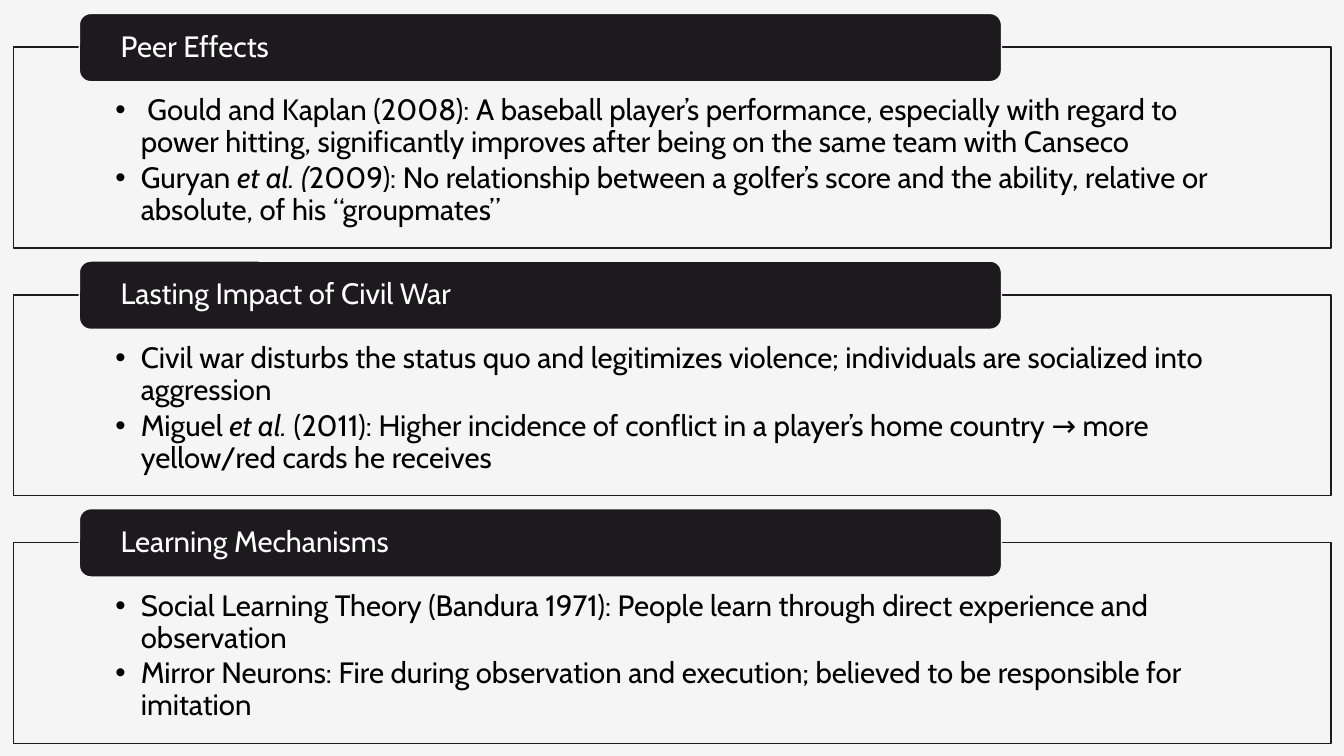
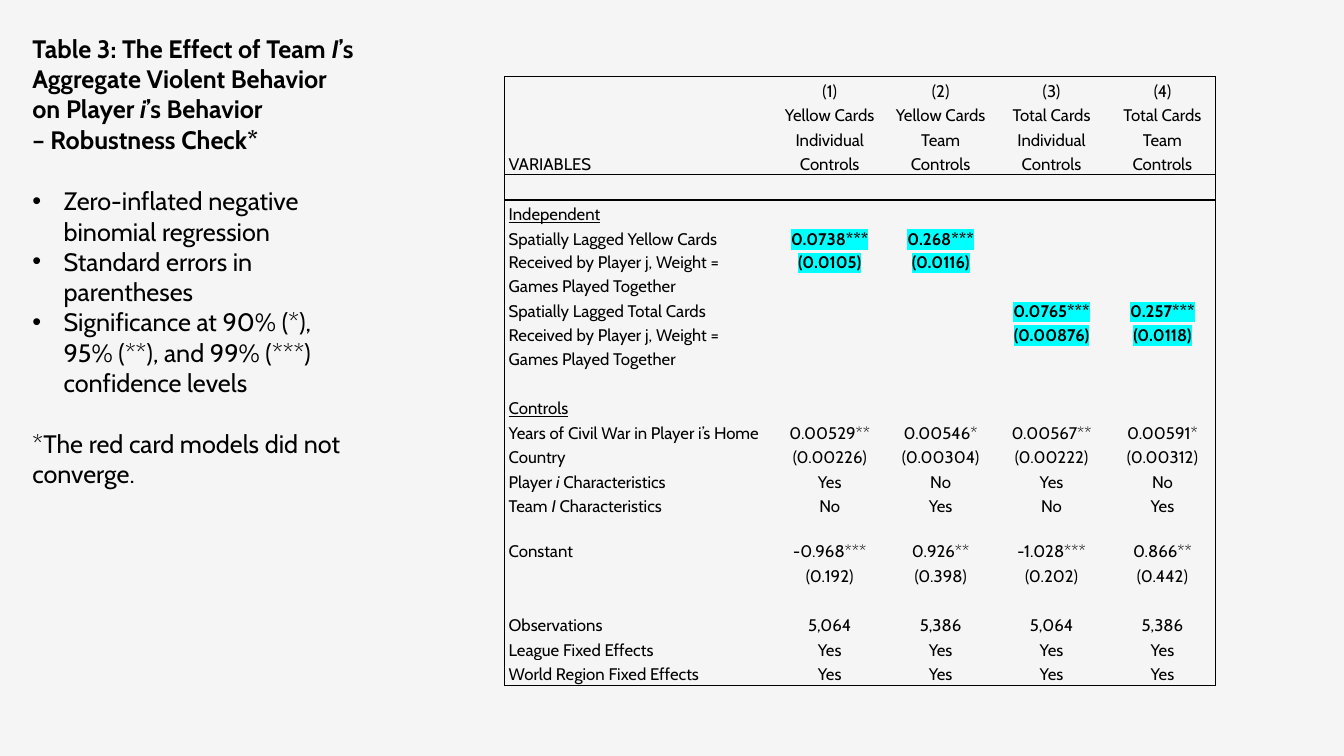
"""Build two slides on violent behavior in sport: theory panels and a robustness table."""
import pptx
import pptx.dml.color
import pptx.enum.shapes
import pptx.enum.text
import pptx.oxml.ns
import pptx.util
from lxml import etree
from pptx.util import Cm

COLORS = {"paper": "F5F5F5", "ink": "1D1A1D", "black": "000000",
          "white": "FFFFFF", "highlight": "00FFFF"}
FONT = "Cabin"
ALIGN = pptx.enum.text.PP_ALIGN
ANCHOR = pptx.enum.text.MSO_ANCHOR
SHAPES = pptx.enum.shapes.MSO_SHAPE
qn = pptx.oxml.ns.qn


def rgb(name):
    """Return the palette colour with this name."""
    return pptx.dml.color.RGBColor.from_string(COLORS[name])


def write_text(frame, text, size=18, color="black", bold=False, underline=False,
               highlight=None, align=ALIGN.LEFT, line_spacing=1.0, before=0,
               after=0, bullet_indent=None):
    """Add one paragraph to the frame; text between underscores is italic."""
    paragraph = frame.add_paragraph() if frame.text else frame.paragraphs[0]
    paragraph.alignment = align
    paragraph.line_spacing = line_spacing
    paragraph.space_before = pptx.util.Pt(before)
    paragraph.space_after = pptx.util.Pt(after)
    properties = paragraph._p.get_or_add_pPr()
    indent = Cm(bullet_indent or 0)
    properties.set("marL", str(indent))
    properties.set("indent", str(-indent))
    if bullet_indent:
        etree.SubElement(properties, qn("a:buFont")).set("typeface", "Arial")
        etree.SubElement(properties, qn("a:buChar")).set("char", "•")
    else:
        etree.SubElement(properties, qn("a:buNone"))
    for index, part in enumerate(text.split("_")):
        if not part:
            continue
        run = paragraph.add_run()
        run.text = part
        run.font.name = FONT
        run.font.size = pptx.util.Pt(size)
        run.font.bold = bold
        run.font.italic = index % 2 == 1
        run.font.underline = underline
        run.font.color.rgb = rgb(color)
        if highlight:
            mark = etree.Element(qn("a:highlight"))
            etree.SubElement(mark, qn("a:srgbClr")).set("val", COLORS[highlight])
            run._r.rPr.find(qn("a:solidFill")).addnext(mark)


presentation = pptx.Presentation()
presentation.slide_width = Cm(33.87)
presentation.slide_height = Cm(19.05)
background = presentation.slide_master.background.fill
background.solid()
background.fore_color.rgb = rgb("paper")

PANELS = [
    ("Peer Effects", [
        " Gould and Kaplan (2008): A baseball player’s performance, especially with "
        "regard to power hitting, significantly improves after being on the same team "
        "with Canseco",
        "Guryan _et al. (_2009): No relationship between a golfer’s score and the "
        "ability, relative or absolute, of his “groupmates”"]),
    ("Lasting Impact of Civil War", [
        "Civil war disturbs the status quo and legitimizes violence; individuals are "
        "socialized into aggression",
        "Miguel _et al._ (2011): Higher incidence of conflict in a player’s home "
        "country → more yellow/red cards he receives"]),
    ("Learning Mechanisms", [
        "Social Learning Theory (Bandura 1971): People learn through direct experience "
        "and observation",
        "Mirror Neurons: Fire during observation and execution; believed to be "
        "responsible for imitation"]),
]
PANEL_PITCH = 6.24

slide = presentation.slides.add_slide(presentation.slide_layouts[6])
for number, (heading, points) in enumerate(PANELS):
    offset = number * PANEL_PITCH
    panel = slide.shapes.add_shape(
        SHAPES.RECTANGLE, Cm(0.34), Cm(1.19 + offset), Cm(33.2), Cm(5.06))
    tab = slide.shapes.add_shape(
        SHAPES.ROUNDED_RECTANGLE, Cm(2), Cm(0.34 + offset), Cm(23.24), Cm(1.72))
    for shape, fill, line, side, top, anchor in (
            (panel, "paper", "ink", 2.57, 1.22, ANCHOR.TOP),
            (tab, "ink", "paper", 0.96, 0, ANCHOR.MIDDLE)):
        shape.shadow.inherit = False
        shape.fill.solid()
        shape.fill.fore_color.rgb = rgb(fill)
        shape.line.color.rgb = rgb(line)
        shape.line.width = pptx.util.Pt(1)
        frame = shape.text_frame
        frame.word_wrap = True
        frame.vertical_anchor = anchor
        frame.margin_left = frame.margin_right = Cm(side)
        frame.margin_top = Cm(top)
        frame.margin_bottom = 0
    write_text(tab.text_frame, heading, size=21, color="white", line_spacing=0.9)
    for point in points:
        write_text(panel.text_frame, point, size=21, line_spacing=0.9, after=3,
                   bullet_indent=0.64)

slide = presentation.slides.add_slide(presentation.slide_layouts[1])
title = slide.shapes.title
body = slide.placeholders[1]
for shape, top, height in ((title, 0.71, 3.5), (body, 4.55, 8)):
    shape.left, shape.top, shape.width, shape.height = Cm(0.56), Cm(top), Cm(8.71), Cm(height)
    shape.text_frame.word_wrap = True
    shape.text_frame.auto_size = pptx.enum.text.MSO_AUTO_SIZE.NONE
    shape.text_frame.vertical_anchor = ANCHOR.TOP
for line in ("Table 3: The Effect of Team _I_’s Aggregate Violent Behavior on Player "
             "_i_’s Behavior", "– Robustness Check*"):
    write_text(title.text_frame, line, bold=True)
for point in ("Zero-inflated negative binomial regression",
              "Standard errors in parentheses",
              "Significance at 90% (*), 95% (**), and 99% (***) confidence levels"):
    write_text(body.text_frame, point, bullet_indent=0.79)
write_text(body.text_frame, "*The red card models did not converge.", before=22)

LINE = 0.61
BLANK = [""] * 5
ROWS = [
    (LINE, ["", "(1)", "(2)", "(3)", "(4)"]),
    (LINE, ["", "Yellow Cards", "Yellow Cards", "Total Cards", "Total Cards"]),
    (2 * LINE, ["VARIABLES"] + ["Individual Controls", "Team Controls"] * 2),
    (0.64, BLANK),
    (LINE, ["Independent", "", "", "", ""]),
    (3 * LINE, ["Spatially Lagged Yellow Cards Received by Player j, Weight = Games "
                "Played Together", "0.0738***\n(0.0105)", "0.268***\n(0.0116)", "", ""]),
    (3 * LINE, ["Spatially Lagged Total Cards Received by Player j, Weight = Games "
                "Played Together", "", "", "0.0765***\n(0.00876)", "0.257***\n(0.0118)"]),
    (LINE, BLANK),
    (LINE, ["Controls", "", "", "", ""]),
    (2 * LINE, ["Years of Civil War in Player i’s Home Country",
                "0.00529**\n(0.00226)", "0.00546*\n(0.00304)",
                "0.00567**\n(0.00222)", "0.00591*\n(0.00312)"]),
    (LINE, ["Player _i_ Characteristics"] + ["Yes", "No"] * 2),
    (LINE, ["Team _I_ Characteristics"] + ["No", "Yes"] * 2),
    (0.5, BLANK),
    (LINE, ["Constant", "-0.968***", "0.926**", "-1.028***", "0.866**"]),
    (LINE, ["", "(0.192)", "(0.398)", "(0.202)", "(0.442)"]),
    (LINE, BLANK),
    (LINE, ["Observations"] + ["5,064", "5,386"] * 2),
    (LINE, ["League Fixed Effects"] + ["Yes"] * 4),
    (LINE, ["World Region Fixed Effects"] + ["Yes"] * 4),
]
COLUMNS = [6.73, 2.92, 2.67, 2.92, 2.67]
HEADER_END = 2
NO_STYLE = "{2D5ABB26-0587-4C30-8999-92F81FD0307C}"

table = slide.shapes.add_table(
    len(ROWS), len(COLUMNS), Cm(12.72), Cm(1.93), Cm(sum(COLUMNS)),
    Cm(sum(height for height, _ in ROWS))).table
table.first_row = table.horz_banding = False
table._tbl.tblPr.find(qn("a:tableStyleId")).text = NO_STYLE
for column, width in zip(table.columns, COLUMNS):
    column.width = Cm(width)
for row_index, (height, values) in enumerate(ROWS):
    table.rows[row_index].height = Cm(height)
    for column_index, value in enumerate(values):
        cell = table.cell(row_index, column_index)
        cell.margin_left = cell.margin_right = Cm(0.1)
        cell.margin_top, cell.margin_bottom = Cm(0.03), 0
        cell.vertical_anchor = ANCHOR.BOTTOM if value == "VARIABLES" else ANCHOR.TOP
        cell.fill.solid()
        cell.fill.fore_color.rgb = rgb("paper")
        is_label = column_index == 0
        is_key = not is_label and values[0].startswith("Spatially")
        if value:
            for line in value.split("\n"):
                write_text(cell.text_frame, line, size=12, line_spacing=1.15,
                           bold=is_key, highlight="highlight" if is_key else None,
                           underline=value in ("Independent", "Controls"),
                           align=ALIGN.LEFT if is_label else ALIGN.CENTER)
        else:
            paragraph = cell.text_frame.paragraphs[0]._p
            etree.SubElement(paragraph, qn("a:endParaRPr")).set("sz", "600")
        edges = [("a:lnL", is_label),
                 ("a:lnR", column_index == len(COLUMNS) - 1),
                 ("a:lnT", row_index in (0, HEADER_END + 1)),
                 ("a:lnB", row_index in (HEADER_END, len(ROWS) - 1))]
        drawn_edges = [tag for tag, drawn in edges if drawn]
        for position, tag in enumerate(drawn_edges):
            border = etree.Element(qn(tag), w=str(pptx.util.Pt(1)))
            fill = etree.SubElement(border, qn("a:solidFill"))
            etree.SubElement(fill, qn("a:srgbClr")).set("val", COLORS["black"])
            cell._tc.tcPr.insert(position, border)

presentation.save("out.pptx")
